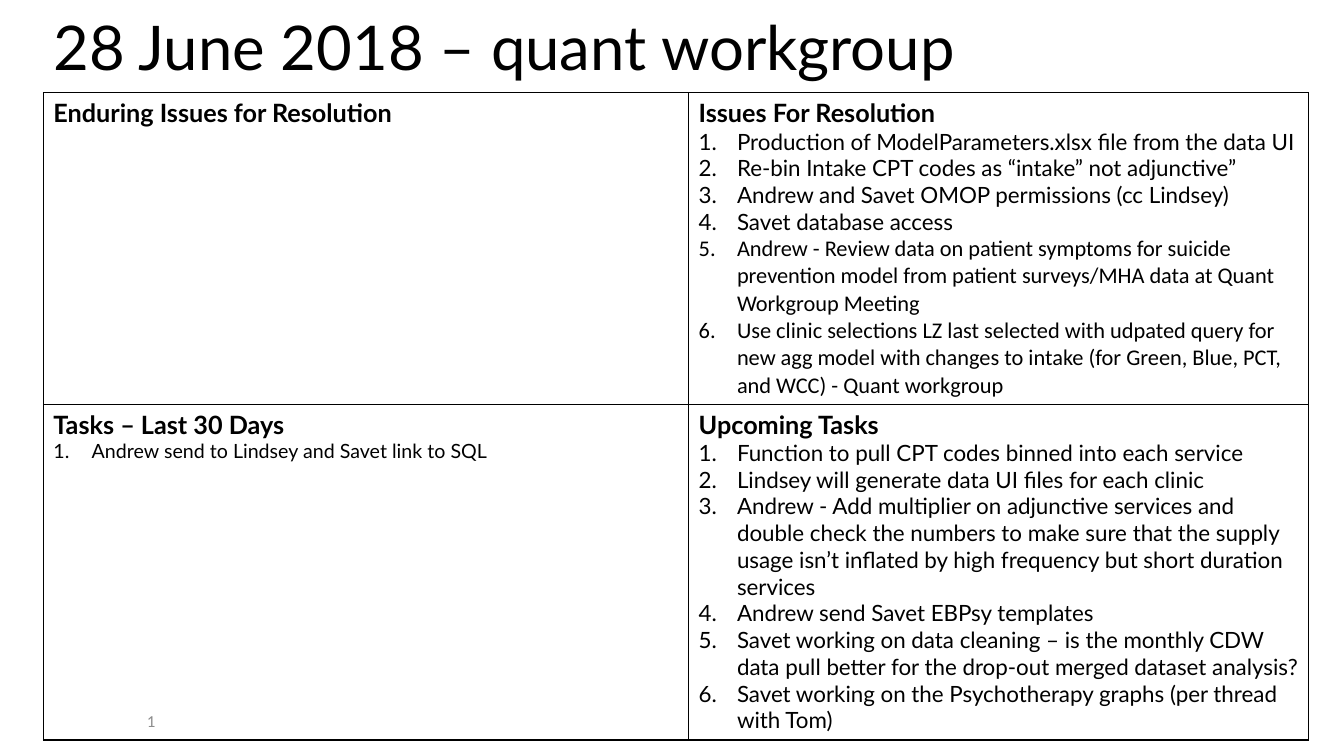
from lxml import etree
from pptx import Presentation
from pptx.dml.color import RGBColor
from pptx.enum.text import MSO_ANCHOR as Anchor, PP_ALIGN as Align
from pptx.oxml.ns import qn
from pptx.util import Inches, Pt

BLACK = RGBColor(0x00, 0x00, 0x00)
GRAY = RGBColor(0x8C, 0x8C, 0x8C)

# Each quadrant: heading, then (text, size, font) for the numbered items
QUADRANTS = [
    [
        ("Enduring Issues for Resolution", []),
        ("Issues For Resolution", [
            ("Production of ModelParameters.xlsx file from the data UI", 16, "Lato"),
            ("Re-bin Intake CPT codes as “intake” not adjunctive”", 16, "Lato"),
            ("Andrew and Savet OMOP permissions (cc Lindsey)", 16, "Lato"),
            ("Savet database access", 16, "Lato"),
            ("Andrew - Review data on patient symptoms for suicide prevention model "
             "from patient surveys/MHA data at Quant Workgroup Meeting", 16, "Calibri"),
            ("Use clinic selections LZ last selected with udpated query for new agg model "
             "with changes to intake (for Green, Blue, PCT, and WCC) - Quant workgroup",
             16, "Calibri"),
        ]),
    ],
    [
        ("Tasks – Last 30 Days", [
            ("Andrew send to Lindsey and Savet link to SQL", 14, "Lato"),
        ]),
        ("Upcoming Tasks", [
            ("Function to pull CPT codes binned into each service", 16, "Lato"),
            ("Lindsey will generate data UI files for each clinic", 16, "Lato"),
            ("Andrew - Add multiplier on adjunctive services and double check the numbers "
             "to make sure that the supply usage isn’t inflated by high frequency "
             "but short duration services", 16, "Lato"),
            ("Andrew send Savet EBPsy templates", 16, "Lato"),
            ("Savet working on data cleaning – is the monthly CDW data pull better "
             "for the drop-out merged dataset analysis?", 16, "Lato"),
            ("Savet working on the Psychotherapy graphs (per thread with Tom)", 16, "Lato"),
        ]),
    ],
]


def write(paragraph, text, size, font, color=BLACK, bold=False):
    paragraph.text = text
    style = paragraph.runs[0].font
    style.size, style.name, style.bold = Pt(size), font, bold
    style.color.rgb = color


def add_label(left, top, width, height):
    frame = slide.shapes.add_textbox(
        Inches(left), Inches(top), Inches(width), Inches(height)).text_frame
    frame.word_wrap = True
    frame.vertical_anchor = Anchor.MIDDLE
    return frame.paragraphs[0]


prs = Presentation()
prs.slide_width, prs.slide_height = Inches(13.33), Inches(7.5)
slide = prs.slides.add_slide(prs.slide_layouts[6])

# Title
title = add_label(0.43, 0.1, 12.55, 0.8)
title.line_spacing = 0.9
write(title, "28 June 2018 – quant workgroup", 44, "Lato")

# Four-quadrant table
table = slide.shapes.add_table(
    2, 2, Inches(0.43), Inches(0.92), Inches(12.55), Inches(6.4)).table
table.first_row = table.horz_banding = False
for column, width in zip(table.columns, (6.4, 6.15)):
    column.width = Inches(width)
for row, height in zip(table.rows, (3.09, 3.31)):
    row.height = Inches(height)

for r, quadrant_row in enumerate(QUADRANTS):
    for c, (heading, items) in enumerate(quadrant_row):
        cell = table.cell(r, c)
        cell.fill.background()
        write(cell.text_frame.paragraphs[0], heading, 18, "Lato", bold=True)

        # Numbered items with a hanging indent
        for text, size, font in items:
            item = cell.text_frame.add_paragraph()
            write(item, text, size, font)
            props = item._p.get_or_add_pPr()
            props.set("marL", str(Inches(0.38)))
            props.set("indent", str(-Inches(0.38)))
            etree.SubElement(props, qn("a:buFont"), typeface="+mj-lt")
            etree.SubElement(props, qn("a:buAutoNum"), type="arabicPeriod")

        # Black borders, placed ahead of the fill
        cell_props = cell._tc.get_or_add_tcPr()
        for position, side in enumerate(("lnL", "lnR", "lnT", "lnB")):
            border = etree.Element(qn(f"a:{side}"), w=str(Pt(1)))
            solid = etree.SubElement(border, qn("a:solidFill"))
            etree.SubElement(solid, qn("a:srgbClr"), val=str(BLACK))
            cell_props.insert(position, border)

# Slide number
number = add_label(0, 6.95, 3, 0.4)
number.alignment = Align.CENTER
write(number, "1", 12, "Calibri", GRAY)

prs.save("out.pptx")
